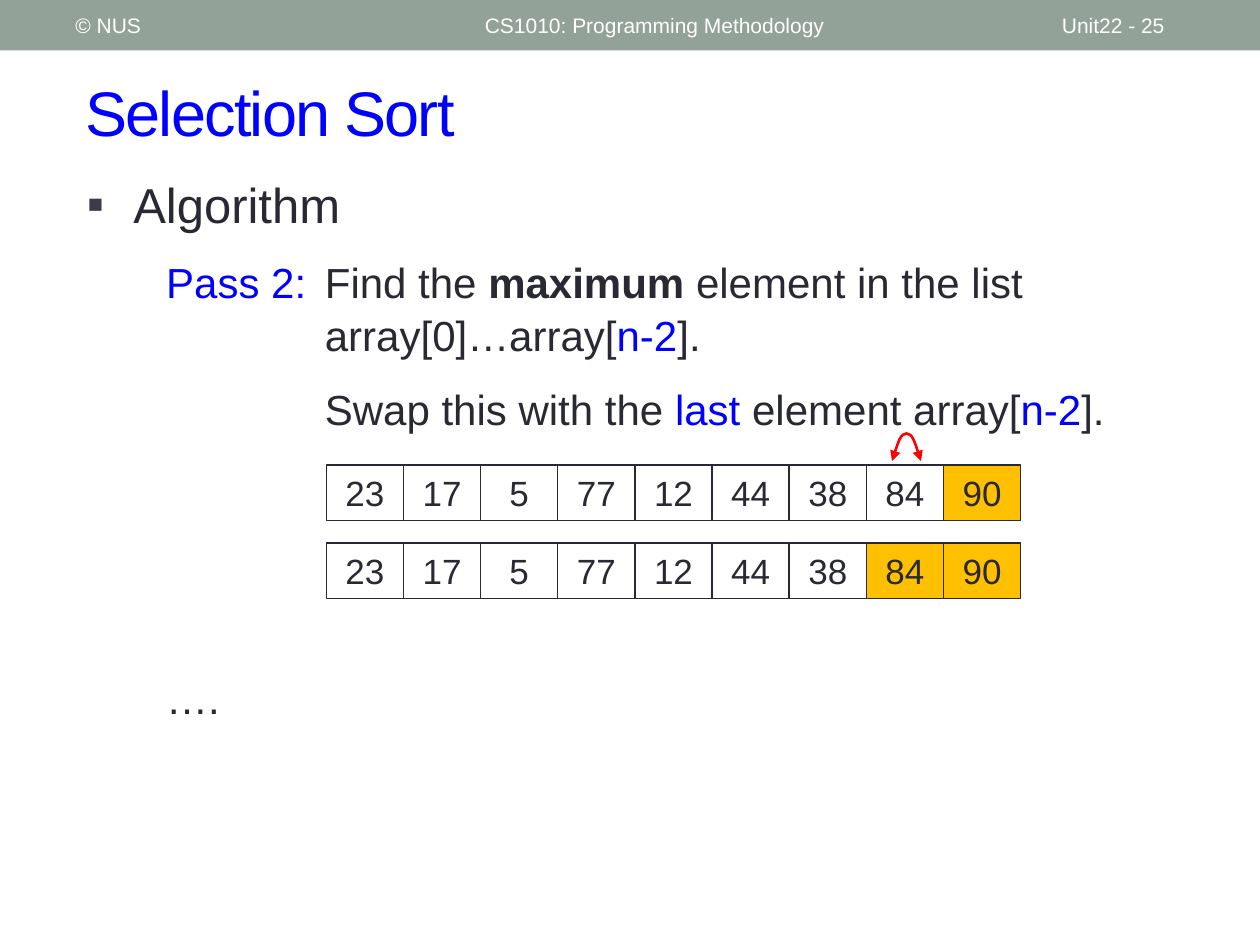
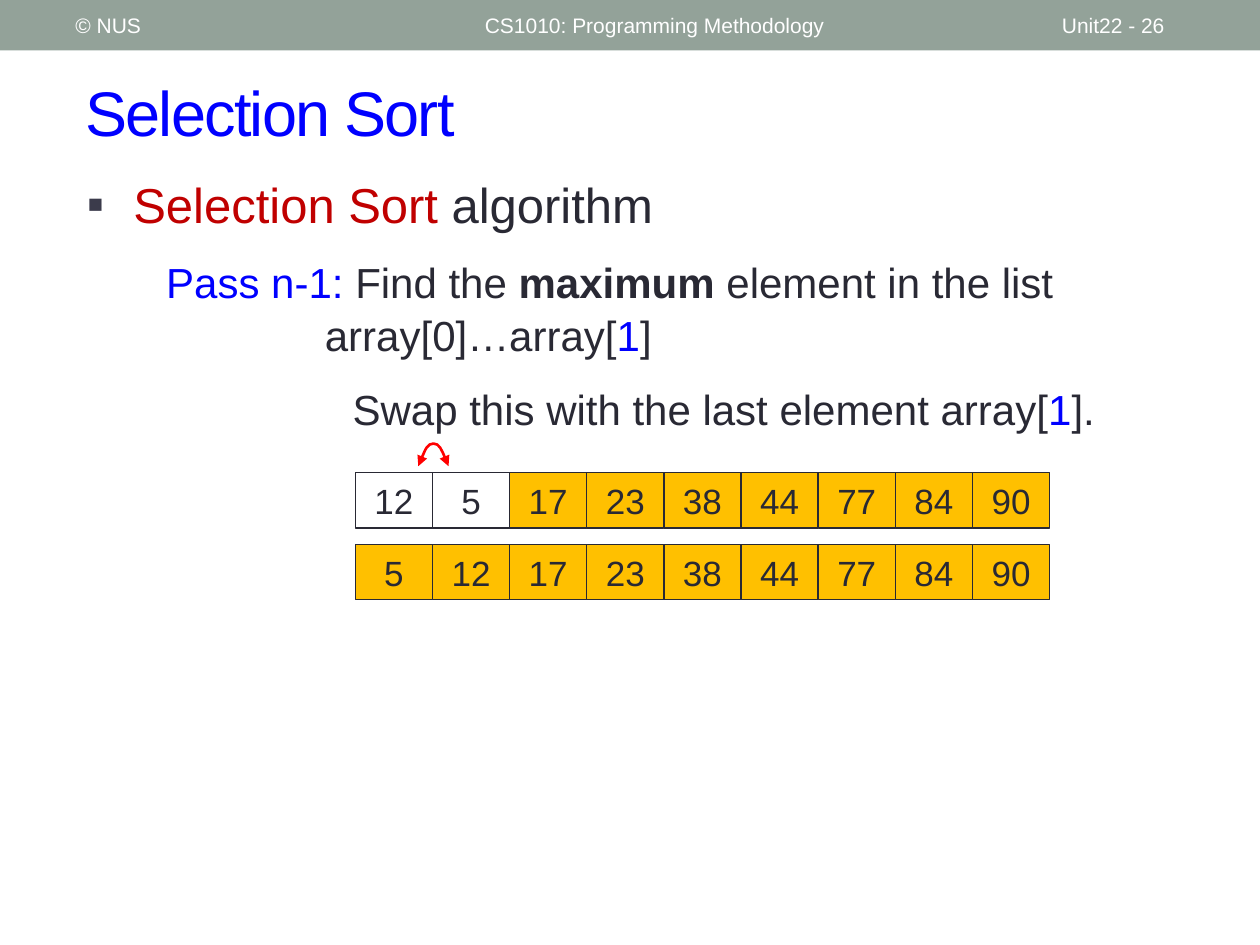
import pptx
import pptx.util
import pptx.dml.color
import pptx.enum.shapes
import pptx.enum.text
import pptx.oxml
import pptx.oxml.ns
from lxml import etree

Inches = pptx.util.Inches
Pt = pptx.util.Pt
RGBColor = pptx.dml.color.RGBColor
ALIGN = pptx.enum.text.PP_ALIGN
ANCHOR = pptx.enum.text.MSO_ANCHOR
RECTANGLE = pptx.enum.shapes.MSO_SHAPE.RECTANGLE
qn = pptx.oxml.ns.qn

FONT = "Arial"
INK = RGBColor(0x29, 0x29, 0x34)
BLUE = RGBColor(0x00, 0x00, 0xFF)
CRIMSON = RGBColor(0xC0, 0x00, 0x00)
RED = RGBColor(0xFF, 0x00, 0x00)
WHITE = RGBColor(0xFF, 0xFF, 0xFF)
SAGE = RGBColor(0x93, 0xA2, 0x99)
SORTED = RGBColor(0xFF, 0xC0, 0x00)
BULLET = "3B3B4B"

TITLE = "Selection Sort"
COPYRIGHT = "© NUS"
COURSE = "CS1010: Programming Methodology"

# A piece of text is a string, or (string, format).
HEADING = dict(size=28, margin=0.37, indent=-0.37, bullet="▪")
PASS = dict(margin=1.89, indent=-1.26, before=12)
MAXIMUM = ("maximum", dict(bold=True))

# Each row holds its top, its values and the index where the sorted part begins.
# Each swap arrow is left, top, width, height.
SLIDES = [
    dict(
        number="Unit22 - 25",
        body=[
            (["Algorithm"], HEADING),
            ([("Pass 2:\t", dict(color=BLUE)), "Find the ", MAXIMUM,
              " element in the list array[0]…array[", ("n-2", dict(color=BLUE)), "]."], PASS),
            (["Swap this with the ", ("last", dict(color=BLUE)), " element array[",
              ("n-2", dict(color=BLUE)), "]."], dict(margin=1.89, before=12)),
            (["…."], dict(margin=0.63, before=135)),
        ],
        rows_left=2.59,
        rows=[
            (3.69, [23, 17, 5, 77, 12, 44, 38, 84, 90], 8),
            (4.31, [23, 17, 5, 77, 12, 44, 38, 84, 90], 7),
        ],
        swap=(7.08, 3.44, 0.23, 0.22),
    ),
    dict(
        number="Unit22 - 26",
        body=[
            ([("Selection Sort ", dict(color=CRIMSON)), "algorithm"], HEADING),
            ([("Pass n-1: ", dict(color=BLUE)), "Find the ", MAXIMUM,
              " element in the list array[0]…array[", ("1", dict(color=BLUE)), "]"], PASS),
            (["Swap this with the last element array[", ("1", dict(color=BLUE)), "]."],
             dict(margin=2.11, before=12)),
        ],
        rows_left=2.82,
        rows=[
            (3.75, [12, 5, 17, 23, 38, 44, 77, 84, 90], 2),
            (4.32, [5, 12, 17, 23, 38, 44, 77, 84, 90], 0),
        ],
        swap=(3.32, 3.52, 0.24, 0.18),
    ),
]

ROW_WIDTH, CELL_HEIGHT = 5.51, 0.44


def write(paragraph, pieces, size=24, color=INK, align=ALIGN.LEFT, margin=0, indent=0,
          before=0, bullet=None, line_spacing=1.0, tracking=0):
    props = paragraph._p.get_or_add_pPr()
    props.set("marL", str(Inches(margin)))
    props.set("indent", str(Inches(indent)))
    if bullet:
        tint = etree.SubElement(props, qn("a:buClr"))
        etree.SubElement(tint, qn("a:srgbClr")).set("val", BULLET)
        etree.SubElement(props, qn("a:buFont")).set("typeface", FONT)
        etree.SubElement(props, qn("a:buChar")).set("char", bullet)
    paragraph.alignment = align
    paragraph.line_spacing = line_spacing
    paragraph.space_before = Pt(before)
    for piece in pieces:
        words, look = (piece, {}) if isinstance(piece, str) else piece
        run = paragraph.add_run()
        run.text = words
        run.font.name = FONT
        run.font.size = Pt(size)
        run.font.bold = look.get("bold", False)
        run.font.color.rgb = look.get("color", color)
        if tracking:
            run.font._element.set("spc", str(tracking * 100))


def add_text(slide, box, paragraphs, anchor=ANCHOR.MIDDLE, **shared):
    frame = slide.shapes.add_textbox(*map(Inches, box)).text_frame
    frame.word_wrap = True
    frame.vertical_anchor = anchor
    for i, (pieces, look) in enumerate(paragraphs):
        paragraph = frame.add_paragraph() if i else frame.paragraphs[0]
        write(paragraph, pieces, **shared, **look)


def add_rectangle(slide, left, top, width, height, fill=None, line=None):
    rectangle = slide.shapes.add_shape(RECTANGLE, *map(Inches, (left, top, width, height)))
    rectangle.shadow.inherit = False
    if fill is None:
        rectangle.fill.background()
    else:
        rectangle.fill.solid()
        rectangle.fill.fore_color.rgb = fill
    if line is None:
        rectangle.line.fill.background()
    else:
        rectangle.line.color.rgb = line
        rectangle.line.width = Pt(0.75)
    return rectangle


def add_row(slide, left, top, values, sorted_from):
    pitch = ROW_WIDTH / len(values)
    for i, value in enumerate(values):
        cell = add_rectangle(slide, left + i * pitch, top, pitch, CELL_HEIGHT,
                             fill=SORTED if i >= sorted_from else None, line=INK)
        frame = cell.text_frame
        frame.margin_top = frame.margin_bottom = 0
        frame.vertical_anchor = ANCHOR.MIDDLE
        write(frame.paragraphs[0], [str(value)], size=20, align=ALIGN.CENTER)


def add_swap_arrow(slide, left, top, width, height):
    """Draw an arch with a head at each foot."""
    left, top, width, height = map(Inches, (left, top, width, height))
    builder = slide.shapes.build_freeform(left, top + height)
    builder.add_line_segments([(left + width // 2, top), (left + width, top + height)],
                              close=False)
    arch = builder.convert_to_shape()
    arch.shadow.inherit = False
    arch.fill.background()
    arch.line.color.rgb = RED
    arch.line.width = Pt(1.5)
    halves = [[(0.15, 0.5), (0.3, 0), (0.5, 0)], [(0.7, 0), (0.85, 0.5), (1, 1)]]
    for segment, points in zip(list(arch._element.iter(qn("a:lnTo"))), halves):
        curve = pptx.oxml.parse_xml(
            f'<a:cubicBezTo {pptx.oxml.ns.nsdecls("a")}>'
            + "".join(f'<a:pt x="{round(x * width)}" y="{round(y * height)}"/>'
                      for x, y in points)
            + "</a:cubicBezTo>")
        segment.getparent().replace(segment, curve)
    outline = arch.line._get_or_add_ln()
    for end in ("a:headEnd", "a:tailEnd"):
        etree.SubElement(outline, qn(end)).set("type", "triangle")


def add_frame(slide, number):
    """Add the band, its three labels and the title."""
    add_rectangle(slide, 0, 0, 10, 0.4, fill=SAGE)
    for left, width, label in [(0.5, 3.17, COPYRIGHT), (3.75, 4.5, COURSE), (8.33, 1.17, number)]:
        add_text(slide, (left, 0.02, width, 0.36), [([label], {})], size=12, color=WHITE)
    add_text(slide, (0.58, 0.42, 9.17, 0.92), [([TITLE], {})],
             size=36, color=BLUE, tracking=-1)


def main():
    deck = pptx.Presentation()
    deck.slide_width, deck.slide_height = Inches(10), Inches(7.5)
    for content in SLIDES:
        slide = deck.slides.add_slide(deck.slide_layouts[6])
        add_frame(slide, content["number"])
        add_text(slide, (0.59, 1.31, 9.11, 5.4), content["body"],
                 anchor=ANCHOR.TOP, line_spacing=1.05)
        for top, values, sorted_from in content["rows"]:
            add_row(slide, content["rows_left"], top, values, sorted_from)
        add_swap_arrow(slide, *content["swap"])
    deck.save("out.pptx")


if __name__ == "__main__":
    main()
